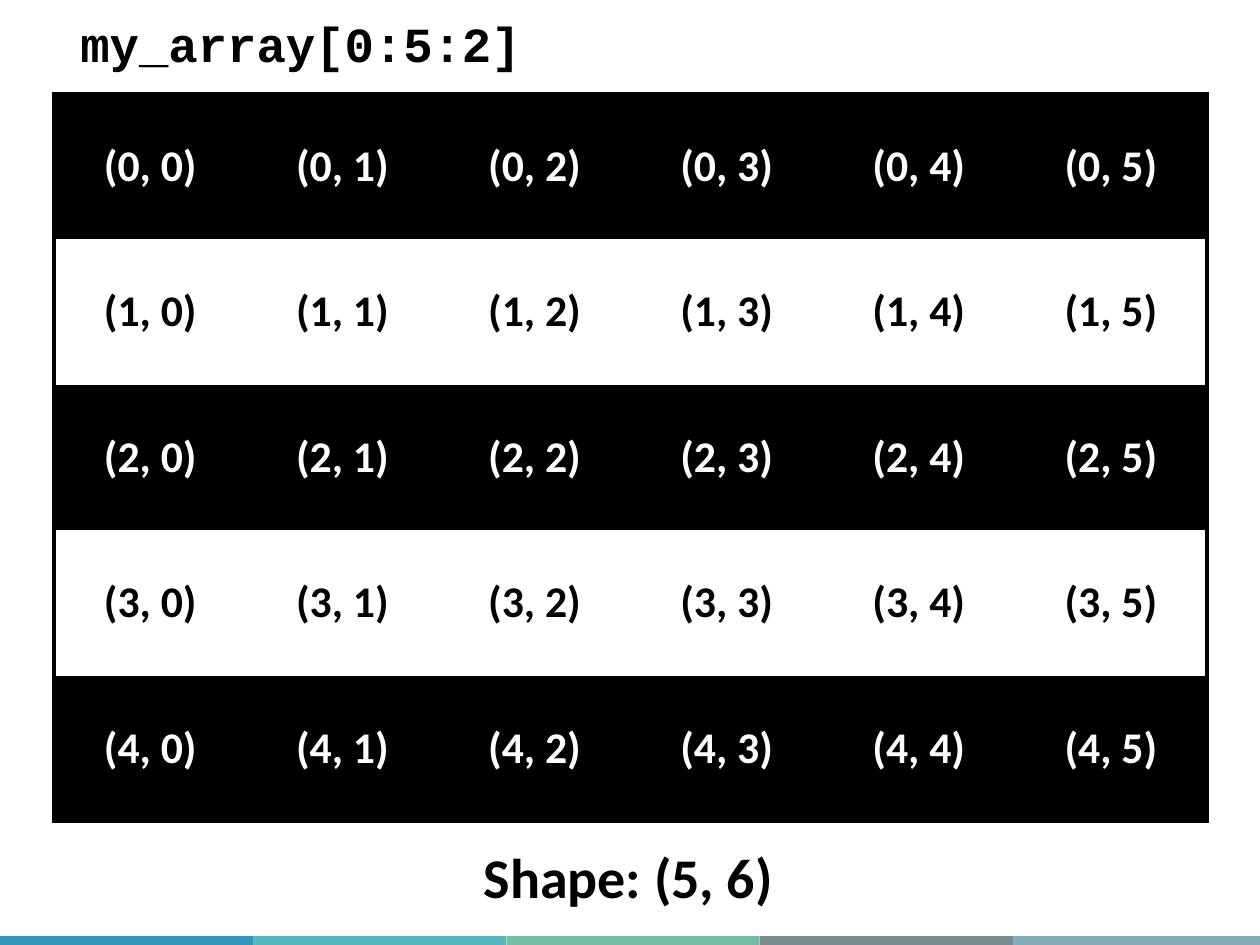
from dataclasses import dataclass

from lxml.etree import SubElement
from pptx import Presentation
from pptx.dml.color import RGBColor
from pptx.enum.shapes import MSO_SHAPE as Preset
from pptx.enum.text import MSO_ANCHOR as Anchor, MSO_AUTO_SIZE as AutoSize, PP_ALIGN as Align
from pptx.oxml.ns import qn
from pptx.util import Inches, Pt


@dataclass(frozen=True)
class Theme:
    black: str = "000000"
    white: str = "FFFFFF"
    stripes: tuple = ("3494BA", "58B6C0", "75BDA7", "7A8C8E", "84ACB6")
    body_font: str = "Calibri"
    code_font: str = "Courier New"
    cell_size: float = 25
    code_size: float = 28
    shape_size: float = 32
    border_width: float = 2.25


@dataclass(frozen=True)
class Label:
    text: str
    left: float
    top: float
    width: float
    height: float
    font: str
    size: float


THEME = Theme()
ROWS, COLUMNS, STEP = 5, 6, 2
STRIPE_WIDTH = 2.01
LABELS = (
    Label("Shape: (5, 6)", 3.74, 6.64, 2.52, 0.64, THEME.body_font, THEME.shape_size),
    Label("my_array[0:5:2]", 0.54, 0.06, 3.73, 0.57, THEME.code_font, THEME.code_size),
)


def add_span(para, text: str, font: str, size: float, color: str) -> None:
    span = para.add_run()
    span.text = text
    span.font.name = font
    span.font.size = Pt(size)
    span.font.bold = True
    span.font.color.rgb = RGBColor.from_string(color)


def add_stripe(page, index: int, color: str) -> None:
    stripe = page.shapes.add_shape(
        Preset.RECTANGLE, Inches(index * STRIPE_WIDTH), Inches(7.43),
        Inches(STRIPE_WIDTH), Inches(0.1))
    stripe.shadow.inherit = False
    stripe.fill.solid()
    stripe.fill.fore_color.rgb = RGBColor.from_string(color)
    stripe.line.fill.background()


def add_label(page, label: Label) -> None:
    box = page.shapes.add_textbox(
        Inches(label.left), Inches(label.top), Inches(label.width), Inches(label.height))
    frame = box.text_frame
    frame.word_wrap = False
    frame.auto_size = AutoSize.SHAPE_TO_FIT_TEXT
    add_span(frame.paragraphs[0], label.text, label.font, label.size, THEME.black)


def set_borders(cell, row: int, column: int) -> None:
    """Draw the outer edges of the table and hide the inner ones."""
    outer_edges = {
        "a:lnL": column == 0,
        "a:lnR": column == COLUMNS - 1,
        "a:lnT": row == 0,
        "a:lnB": row == ROWS - 1,
    }
    properties = cell._tc.get_or_add_tcPr()
    for tag, is_outer in outer_edges.items():
        line = SubElement(properties, qn(tag))
        if is_outer:
            line.set("w", str(Pt(THEME.border_width)))
            fill = SubElement(line, qn("a:solidFill"))
            SubElement(fill, qn("a:srgbClr")).set("val", THEME.black)
        else:
            SubElement(line, qn("a:noFill"))


def fill_cell(cell, row: int, column: int) -> None:
    selected = row % STEP == 0
    set_borders(cell, row, column)
    if selected:
        cell.fill.solid()
        cell.fill.fore_color.rgb = RGBColor.from_string(THEME.black)
    else:
        cell.fill.background()
    cell.vertical_anchor = Anchor.MIDDLE
    cell.margin_left = cell.margin_right = Inches(0.14)
    cell.margin_top = cell.margin_bottom = Inches(0.07)
    para = cell.text_frame.paragraphs[0]
    para.alignment = Align.CENTER
    add_span(para, f"({row}, {column})", THEME.body_font, THEME.cell_size,
             THEME.white if selected else THEME.black)


def add_array_table(page) -> None:
    table = page.shapes.add_table(
        ROWS, COLUMNS, Inches(0.43), Inches(0.74), Inches(9.15), Inches(5.78)).table
    table.first_row = table.horz_banding = False
    for row in range(ROWS):
        for column in range(COLUMNS):
            fill_cell(table.cell(row, column), row, column)


def main() -> None:
    deck = Presentation()
    deck.slide_width, deck.slide_height = Inches(10), Inches(7.5)
    page = deck.slides.add_slide(deck.slide_layouts[6])
    for index, color in enumerate(THEME.stripes):
        add_stripe(page, index, color)
    add_array_table(page)
    for label in LABELS:
        add_label(page, label)
    deck.save("out.pptx")


if __name__ == "__main__":
    main()
